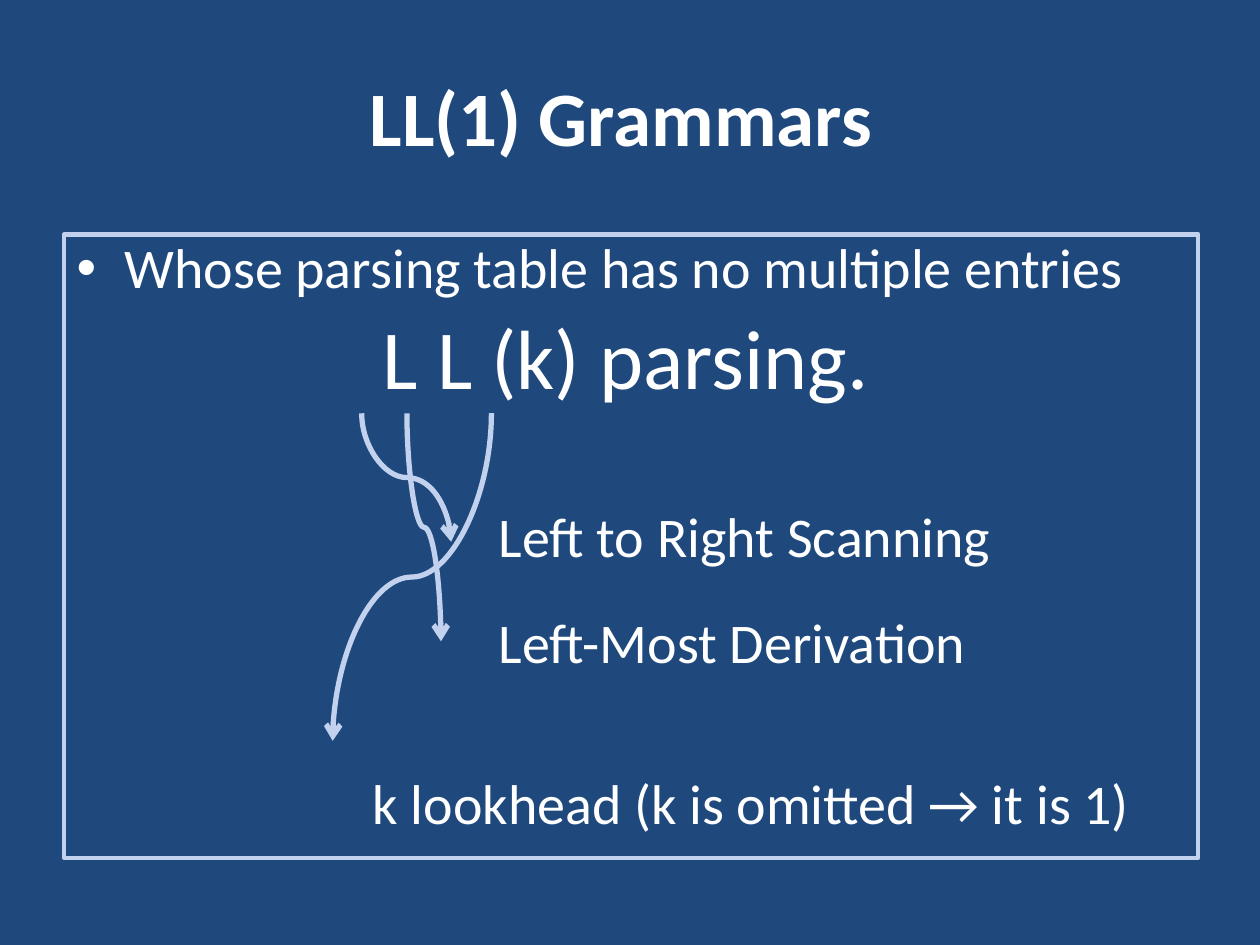
import pptx
import pptx.util
import pptx.dml.color
import pptx.enum.shapes
import pptx.enum.text
import pptx.oxml.ns
import lxml.etree

Inches, Pt = pptx.util.Inches, pptx.util.Pt
RGBColor = pptx.dml.color.RGBColor
PP_ALIGN = pptx.enum.text.PP_ALIGN
MSO_ANCHOR = pptx.enum.text.MSO_ANCHOR

NAVY = RGBColor(0x1F, 0x49, 0x7D)
PALE_BLUE = RGBColor(0xC2, 0xD1, 0xED)
WHITE = RGBColor(0xFF, 0xFF, 0xFF)

# Content
TITLE = "LL(1) Grammars"
TITLE_BOX = (0.43, 0.29, 9, 1.25)
BODY_BOX = (0.51, 1.86, 9, 4.95)
# text, size, left margin (inches), line spacing, space before (points), bullet
BODY_LINES = [
    ("Whose parsing table has no multiple entries", 32, 0.38, 0.9, 0, True),
    ("L L (k) parsing.", 48, 2.43, 0.9, 9, False),
    ("Left to Right Scanning", 32, 3.35, 0.8, 61, False),
    ("Left-Most Derivation", 32, 3.35, 0.8, 30, False),
    ("k lookhead (k is omitted → it is 1)", 32, 2.35, 0.8, 61, False),
]
# Each arrow drops from a symbol of "L L (k)" to its explanation: start x, end x, end y
ARROW_TOP = 3.28
ARROWS = [(2.87, 3.58, 4.3), (3.23, 3.5, 5.09), (3.9, 2.64, 5.88)]


def add_xml(parent, tag, **attributes):
    element = lxml.etree.SubElement(parent, pptx.oxml.ns.qn(tag))
    for name, value in attributes.items():
        element.set(name, value)
    return element


def set_values(target, values):
    for name, value in values.items():
        setattr(target, name, value)


def place(shape, box):
    names = ("left", "top", "width", "height")
    set_values(shape, dict(zip(names, map(Inches, box))))


def write(paragraph, text, size, bold=False):
    run = paragraph.add_run()
    run.text = text
    set_values(run.font, {"name": "Calibri", "size": Pt(size), "bold": bold})
    run.font.color.rgb = WHITE


def add_arrow(slide, start_x, end_x, end_y):
    """Curve leaving and arriving vertically: a horizontal curve turned a quarter."""
    center_x, center_y = (start_x + end_x) / 2, (ARROW_TOP + end_y) / 2
    half_length, half_height = (end_y - ARROW_TOP) / 2, abs(end_x - start_x) / 2
    rightward = end_x > start_x
    reach = half_length if rightward else -half_length
    connector = slide.shapes.add_connector(
        pptx.enum.shapes.MSO_CONNECTOR.CURVE,
        Inches(center_x + reach), Inches(center_y - half_height),
        Inches(center_x - reach), Inches(center_y + half_height))
    properties = connector._element.spPr
    properties.find(pptx.oxml.ns.qn("a:xfrm")).set("rot", str((270 if rightward else 90) * 60000))
    connector.line.color.rgb = PALE_BLUE
    connector.line.width = Pt(3)
    add_xml(connector.line._get_or_add_ln(), "a:tailEnd", type="arrow")
    add_xml(properties, "a:effectLst")


def main():
    presentation = pptx.Presentation()
    set_values(presentation, {"slide_width": Inches(10), "slide_height": Inches(7.5)})
    slide = presentation.slides.add_slide(presentation.slide_layouts[5])
    slide.background.fill.solid()
    slide.background.fill.fore_color.rgb = NAVY

    # Title
    title = slide.shapes.title
    place(title, TITLE_BOX)
    title.text_frame.vertical_anchor = MSO_ANCHOR.MIDDLE
    heading = title.text_frame.paragraphs[0]
    heading.alignment = PP_ALIGN.CENTER
    write(heading, TITLE, 44, bold=True)

    # Framed body text
    body = slide.shapes.add_shape(
        pptx.enum.shapes.MSO_SHAPE.RECTANGLE, *map(Inches, BODY_BOX))
    body.shadow.inherit = False
    body.fill.background()
    body.line.color.rgb = PALE_BLUE
    body.line.width = Pt(2.5)
    frame = body.text_frame
    set_values(frame, {"word_wrap": True, "vertical_anchor": MSO_ANCHOR.TOP})
    for index, (text, size, margin, spacing, before, bullet) in enumerate(BODY_LINES):
        paragraph = frame.add_paragraph() if index else frame.paragraphs[0]
        set_values(paragraph, {"alignment": PP_ALIGN.LEFT, "line_spacing": spacing,
                               "space_before": Pt(before)})
        properties = paragraph._p.get_or_add_pPr()
        properties.set("marL", str(Inches(margin)))
        if bullet:
            properties.set("indent", str(-Inches(margin)))
            add_xml(properties, "a:buFont", typeface="Arial")
            add_xml(properties, "a:buChar", char="•")
        write(paragraph, text, size)

    # Arrows
    for arrow in ARROWS:
        add_arrow(slide, *arrow)

    presentation.save("out.pptx")


if __name__ == "__main__":
    main()
